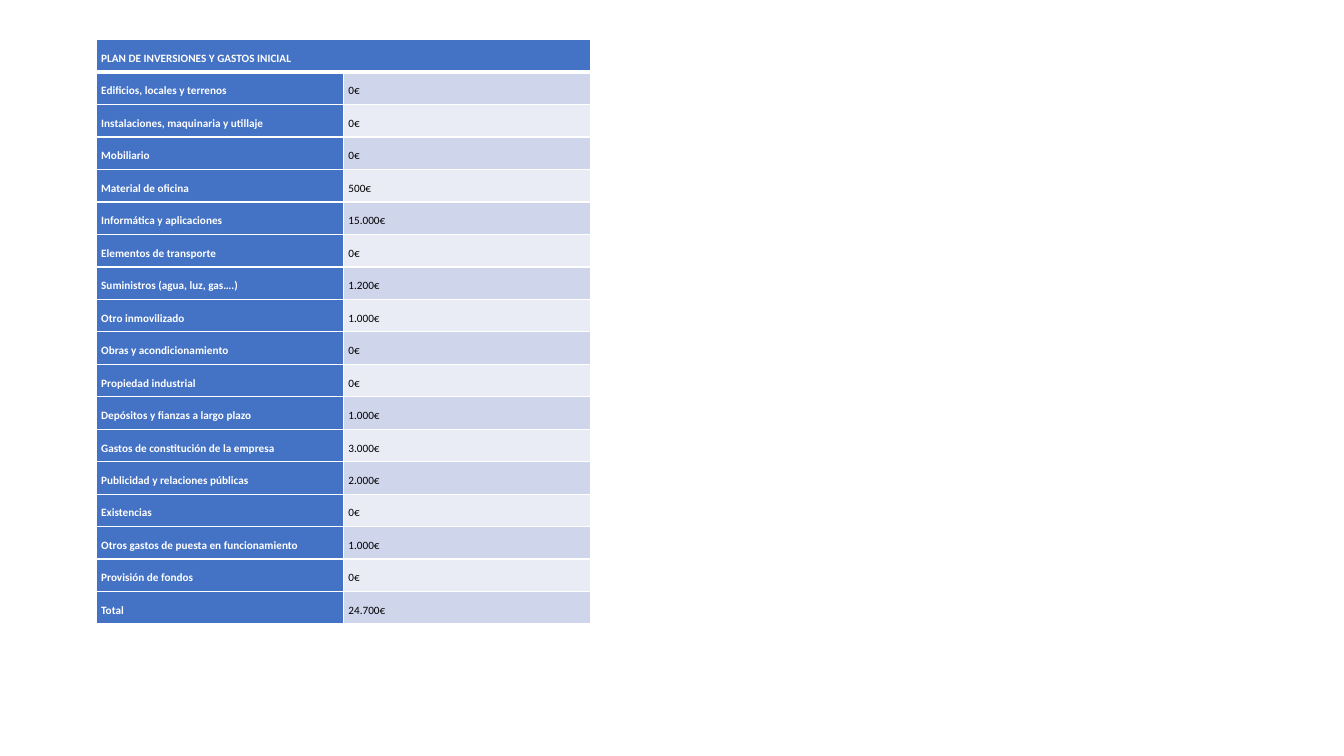
from lxml import etree
from pptx import Presentation
from pptx.dml.color import RGBColor
from pptx.enum.text import PP_ALIGN
from pptx.oxml.ns import qn
from pptx.util import Cm, Pt

JUSTIFY = PP_ALIGN.JUSTIFY
BLANK_LAYOUT = 6

COLORS = {
    "heading": "4472C4",
    "band_dark": "CFD5EA",
    "band_light": "E9EBF5",
    "white": "FFFFFF",
    "black": "000000",
}
MARGIN = Cm(0.13)
CELL_FORMAT = {
    "margin_left": MARGIN,
    "margin_top": MARGIN,
    "margin_right": MARGIN,
    "margin_bottom": MARGIN,
}
PARA_FORMAT = {
    "alignment": JUSTIFY,
    "line_spacing": 1.5,
    "space_before": Pt(0),
    "space_after": Pt(8),
}
THIN, THICK = Pt(1), Pt(3)

HEADING = "PLAN DE INVERSIONES Y GASTOS INICIAL"
EXPENSES = [
    ("Edificios, locales y terrenos", "0€"),
    ("Instalaciones, maquinaria y utillaje", "0€"),
    ("Mobiliario", "0€"),
    ("Material de oficina", "500€"),
    ("Informática y aplicaciones", "15.000€"),
    ("Elementos de transporte", "0€"),
    ("Suministros (agua, luz, gas….)", "1.200€"),
    ("Otro inmovilizado", "1.000€"),
    ("Obras y acondicionamiento", "0€"),
    ("Propiedad industrial", "0€"),
    ("Depósitos y fianzas a largo plazo", "1.000€"),
    ("Gastos de constitución de la empresa", "3.000€"),
    ("Publicidad y relaciones públicas", "2.000€"),
    ("Existencias", "0€"),
    ("Otros gastos de puesta en funcionamiento", "1.000€"),
    ("Provisión de fondos", "0€"),
    ("Total", "24.700€"),
]


def set_format(target, values):
    for name, value in values.items():
        setattr(target, name, value)


def set_borders(cell, top, bottom):
    """Draw white borders; they have to come before the fill in the XML."""
    properties = cell._tc.get_or_add_tcPr()
    widths = {"a:lnL": THIN, "a:lnR": THIN, "a:lnT": top, "a:lnB": bottom}
    for tag, width in widths.items():
        line = etree.SubElement(properties, qn(tag), w=str(int(width)))
        fill = etree.SubElement(line, qn("a:solidFill"))
        etree.SubElement(fill, qn("a:srgbClr"), val=COLORS["white"])


def fill_cell(cell, text, fill, color, bold):
    cell.fill.solid()
    cell.fill.fore_color.rgb = RGBColor.from_string(COLORS[fill])
    set_format(cell, CELL_FORMAT)
    para = cell.text_frame.paragraphs[0]
    set_format(para, PARA_FORMAT)
    span = para.add_run()
    span.text = text
    set_format(span.font, {"name": "Calibri", "size": Pt(8), "bold": bold})
    span.font.color.rgb = RGBColor.from_string(COLORS[color])


def add_expense_table(page, left, top, width, height):
    row_count = len(EXPENSES) + 1
    table = page.shapes.add_table(row_count, 2, left, top, width, height).table
    for column in table.columns:
        column.width = width // 2
    for row in table.rows:
        row.height = height // row_count

    # A thick rule separates the heading from the expenses
    for index, row in enumerate(table.rows):
        for cell in row.cells:
            set_borders(cell, THICK if index == 1 else THIN,
                        THICK if index == 0 else THIN)

    # Heading across both columns
    table.cell(0, 0).merge(table.cell(0, 1))
    fill_cell(table.cell(0, 0), HEADING, "heading", "white", True)

    # Expenses with banded amounts
    for index, (label, amount) in enumerate(EXPENSES, start=1):
        band = "band_dark" if index % 2 else "band_light"
        fill_cell(table.cell(index, 0), label, "heading", "white", True)
        fill_cell(table.cell(index, 1), amount, band, "black", False)


def main():
    deck = Presentation()
    deck.slide_width, deck.slide_height = Cm(33.87), Cm(19.05)
    page = deck.slides.add_slide(deck.slide_layouts[BLANK_LAYOUT])
    add_expense_table(page, Cm(2.42), Cm(1), Cm(12.46), Cm(14.74))
    deck.save("out.pptx")


if __name__ == "__main__":
    main()
